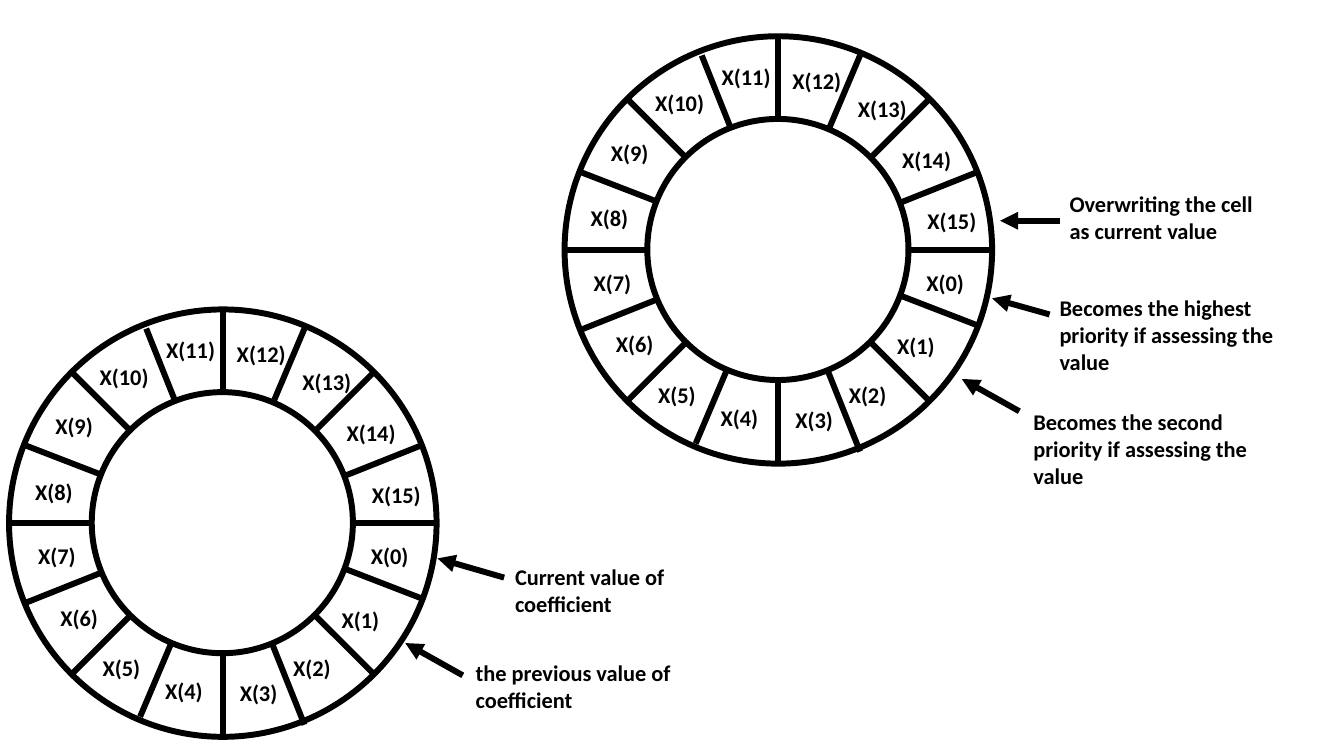
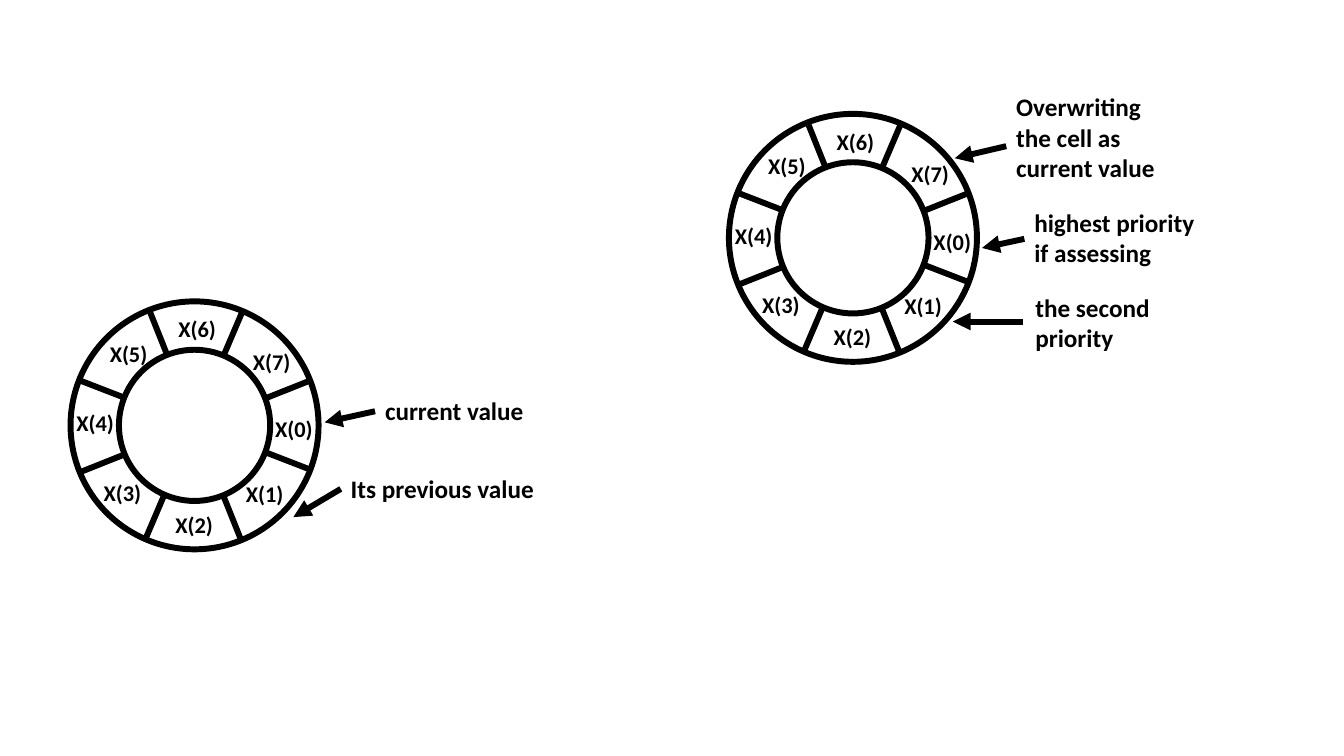
from dataclasses import dataclass

from lxml.etree import SubElement
from pptx import Presentation
from pptx.dml.color import RGBColor
from pptx.enum.shapes import MSO_CONNECTOR as CONN, MSO_SHAPE as SHAPE
from pptx.enum.text import MSO_AUTO_SIZE as AUTO
from pptx.oxml.ns import qn
from pptx.util import Emu, Pt


@dataclass(frozen=True)
class Theme:
    ink: RGBColor = RGBColor(0, 0, 0)
    paper: RGBColor = RGBColor(255, 255, 255)
    font: str = "Calibri"
    stroke: float = 4.25
    cell_size: int = 16


THEME = Theme()
EMU_PER_PX = 9144
SLIDE_W, SLIDE_H = 1333, 750

SIXTEEN_CELLS = {
    "outer": 424, "inner": 259, "cell": (96, 37), "note_size": 16,
    "spokes": [
        (424, 212, 0, 212), (212, 0, 212, 424),
        (362, 62, 62, 362), (362, 362, 62, 62),
        (411, 134, 14, 292), (293, 19, 130, 404),
        (136, 19, 293, 412), (410, 287, 14, 134),
    ],
    "cells": [
        (349, 226), (320, 289), (272, 337), (219, 362),
        (145, 360), (83, 337), (41, 287), (19, 226),
        (16, 162), (36, 97), (80, 48), (146, 22),
        (216, 26), (281, 53), (325, 104), (350, 165),
    ],
}
EIGHT_CELLS = {
    "outer": 246, "inner": 150, "cell": (75, 29), "note_size": 18,
    "spokes": [
        (239, 78, 8, 170), (170, 11, 75, 234),
        (79, 11, 170, 239), (238, 167, 8, 78),
    ],
    "cells": [
        (193, 108), (164, 172), (94, 203), (23, 171),
        (-4, 102), (29, 33), (97, 9), (171, 41),
    ],
}

# ring kind, ring corner, notes as (text, text box, arrow)
SLIDES = [
    [
        (SIXTEEN_CELLS, (9, 307), [
            ("Current value of coefficient", (501, 554, 200, 64), (500, 573, 434, 554)),
            ("the previous value of coefficient", (462, 649, 224, 64), (459, 670, 402, 638)),
        ]),
        (SIXTEEN_CELLS, (560, 36), [
            ("Overwriting the cell as current value", (1051, 184, 208, 64), (1051, 219, 992, 219)),
            ("Becomes the highest priority if assessing the value",
             (1041, 287, 255, 91), (1041, 312, 984, 296)),
            ("Becomes the second priority if assessing the value",
             (1015, 400, 255, 91), (1011, 408, 954, 376)),
        ]),
    ],
    [
        (EIGHT_CELLS, (723, 113), [
            ("Overwriting the cell as current value", (998, 86, 162, 101), (998, 145, 947, 157)),
            ("highest priority if assessing", (1016, 201, 198, 71), (1016, 237, 974, 246)),
            ("the second priority", (1017, 285, 198, 71), (1015, 319, 945, 319)),
        ]),
        (EIGHT_CELLS, (70, 299), [
            ("current value", (372, 387, 162, 40), (372, 408, 322, 419)),
            ("Its previous value", (338, 465, 212, 40), (338, 485, 291, 513)),
        ]),
    ],
]


def px(*values):
    return [Emu(v * EMU_PER_PX) for v in values]


def set_line(sp):
    sp.line.color.rgb = THEME.ink
    sp.line.width = Pt(THEME.stroke)


def add_circle(shapes, x, y, d, filled=False):
    sp = shapes.add_shape(SHAPE.OVAL, *px(x, y, d, d))
    sp.shadow.inherit = False
    if filled:
        sp.fill.solid()
        sp.fill.fore_color.rgb = THEME.paper
    else:
        sp.fill.background()
    set_line(sp)


def add_line(shapes, x1, y1, x2, y2, arrow=False):
    cn = shapes.add_connector(CONN.STRAIGHT, *px(x1, y1, x2, y2))
    set_line(cn)
    if arrow:
        SubElement(cn.line._get_or_add_ln(), qn("a:tailEnd"), type="triangle")
    SubElement(cn._element.spPr, qn("a:effectLst"))


def add_text(shapes, text, box, size):
    tf = shapes.add_textbox(*px(*box)).text_frame
    tf.word_wrap = True
    tf.auto_size = AUTO.SHAPE_TO_FIT_TEXT
    r = tf.paragraphs[0].add_run()
    r.text = text
    r.font.name = THEME.font
    r.font.size = Pt(size)
    r.font.bold = True
    r.font.color.rgb = THEME.ink


def add_ring(slide, ring, corner, notes):
    shapes = slide.shapes.add_group_shape().shapes
    x, y = corner
    add_circle(shapes, x, y, ring["outer"])
    for x1, y1, x2, y2 in ring["spokes"]:
        add_line(shapes, x + x1, y + y1, x + x2, y + y2)
    gap = (ring["outer"] - ring["inner"]) // 2
    add_circle(shapes, x + gap, y + gap, ring["inner"], filled=True)
    for i, (dx, dy) in enumerate(ring["cells"]):
        add_text(shapes, f"X({i})", (x + dx, y + dy, *ring["cell"]), THEME.cell_size)
    for text, box, arrow in notes:
        add_line(shapes, *arrow, arrow=True)
        add_text(shapes, text, box, ring["note_size"])


def main():
    prs = Presentation()
    prs.slide_width, prs.slide_height = px(SLIDE_W, SLIDE_H)
    for rings in SLIDES:
        slide = prs.slides.add_slide(prs.slide_layouts[6])
        for ring, corner, notes in rings:
            add_ring(slide, ring, corner, notes)
    prs.save("out.pptx")


if __name__ == "__main__":
    main()
